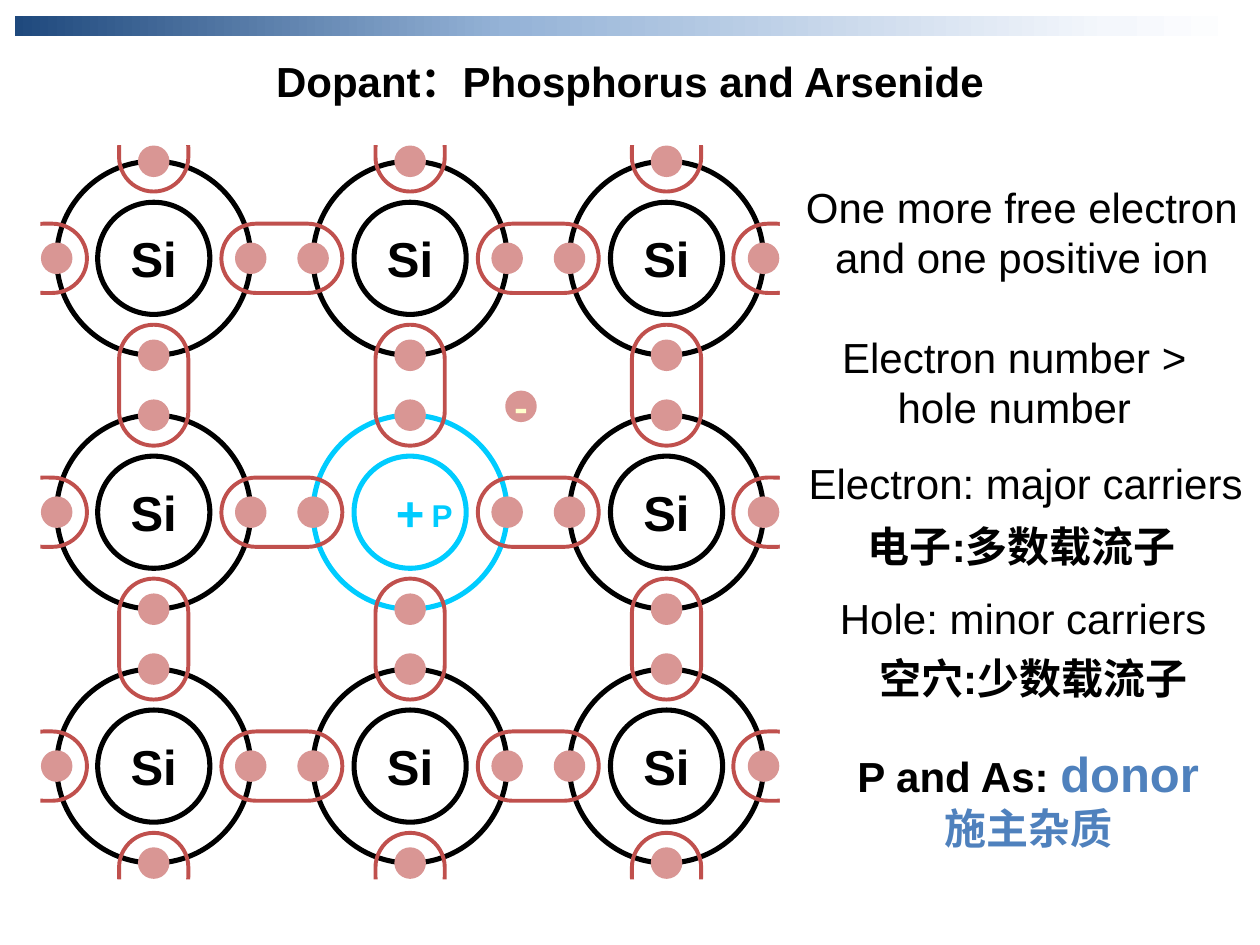
from copy import deepcopy
from itertools import product

from pptx import Presentation
from pptx.dml.color import RGBColor
from pptx.enum.shapes import MSO_SHAPE as SHAPE
from pptx.enum.text import MSO_ANCHOR as ANCHOR, MSO_AUTO_SIZE as AUTO, PP_ALIGN as ALIGN
from pptx.util import Inches, Pt

COLORS = {
    "black": "000000", "white": "FFFFFF", "electron": "D99694", "bond": "C0504D",
    "donor": "00CCFF", "minus": "FFFFCC", "accent": "4F81BD",
}
BAR_STOPS = [(0, "1F497D"), (0.4, "95B3D7"), (0.89, "F4F7FC"), (1, "FFFFFF")]
SIDES = [(0, -1), (-1, 0), (0, 1), (1, 0)]
COLS, ROWS = 100, 75  # the slide as a grid of square cells
CELL = Inches(10) / COLS


def cells(*values):
    return [round(v * CELL) for v in values]


def rgb(name):
    return RGBColor.from_string(COLORS[name])


def add_centered(shapes, kind, cx, cy, w, h, fill=None, line=None, width=2.88):
    s = shapes.add_shape(kind, *cells(cx - w / 2, cy - h / 2, w, h))
    s.shadow.inherit = False
    if fill:
        s.fill.solid()
        s.fill.fore_color.rgb = rgb(fill)
    else:
        s.fill.background()
    if line:
        s.line.color.rgb = rgb(line)
        s.line.width = Pt(width)
    else:
        s.line.fill.background()
    return s


def write(s, runs, wrap=True):
    """Fill a shape with one centred paragraph of (text, format) runs."""
    tf = s.text_frame
    tf.word_wrap = wrap
    p = tf.paragraphs[0]
    p.alignment = ALIGN.CENTER
    for text, fmt in runs:
        r = p.add_run()
        r.text = text
        values = {"name": "Arial", "size": Pt(24), "bold": False, **fmt}
        r.font.color.rgb = rgb(values.pop("color", "black"))
        for key, value in values.items():
            setattr(r.font, key, value)


def add_text(shapes, box, runs, wrap=True):
    s = shapes.add_textbox(*cells(*box))
    write(s, runs, wrap)
    s.text_frame.auto_size = AUTO.SHAPE_TO_FIT_TEXT


def add_electron(shapes, cx, cy):
    return add_centered(shapes, SHAPE.OVAL, cx, cy, 2.1, 2.1, "electron", "electron")


def add_atom(shapes, cx, cy, label, color):
    group = shapes.add_group_shape().shapes
    add_centered(group, SHAPE.OVAL, cx, cy, 15.4, 15.4, line=color)
    core = add_centered(group, SHAPE.OVAL, cx, cy, 8.9, 8.9, line=color)
    core.text_frame.vertical_anchor = ANCHOR.MIDDLE
    write(core, [(label, {"size": Pt(28), "bold": True, "color": color})], wrap=False)
    for dx, dy in SIDES:
        add_electron(group, cx + 7.7 * dx, cy + 7.7 * dy)


def add_bond(shapes, cx, cy, length, horizontal):
    w, h = (length, 5.5) if horizontal else (5.5, length)
    s = add_centered(shapes, SHAPE.ROUNDED_RECTANGLE, cx, cy, w, h, line="bond", width=2.25)
    s.adjustments[0] = 0.5


def add_open_bond(shapes, cx, cy, dx, dy):
    """A bond leaving the lattice, its outer end covered."""
    add_bond(shapes, cx + 8.4 * dx, cy + 8.4 * dy, 6.2, dx != 0)
    w, h = (3.2, 6.4) if dx else (6.4, 3.2)
    add_centered(shapes, SHAPE.RECTANGLE, cx + 10.6 * dx, cy + 10.6 * dy, w, h, "white")


def add_lattice(shapes, box):
    """3 x 3 atoms whose centres span the box."""
    left, top, width, height = box
    dx, dy = width / 2, height / 2
    sites = {(i, j): (left + i * dx, top + j * dy) for j, i in product(range(3), repeat=2)}
    for site, (cx, cy) in sites.items():
        add_atom(shapes, cx, cy, *(("+", "donor") if site == (1, 1) else ("Si", "black")))

    # Bonds: shared with the next atom, or open at the lattice edge
    for (i, j), (cx, cy) in sites.items():
        if i < 2:
            add_bond(shapes, cx + dx / 2, cy, 9.6, True)
        if j < 2:
            add_bond(shapes, cx, cy + dy / 2, 9.6, False)
        for sx, sy in SIDES:
            if (i + sx, j + sy) not in sites:
                add_open_bond(shapes, cx, cy, sx, sy)

    # Free electron and the donor's label
    cx, cy = sites[1, 1]
    free = add_electron(shapes, cx + 8.8, cy - 8.4)
    free.text_frame.vertical_anchor = ANCHOR.MIDDLE
    write(free, [("-", {"name": "Calibri", "bold": True, "color": "minus"})], wrap=False)
    add_text(shapes, (cx + 0.7, cy - 1.8, 3.7, 4),
             [("P", {"size": Pt(18), "bold": True, "color": "donor"})], wrap=False)


def add_header(shapes, box):
    left, top, width, _ = box
    bar = add_centered(shapes, SHAPE.RECTANGLE, left + width / 2, top + 0.8, width, 1.6)
    bar.fill.gradient()
    bar.fill.gradient_angle = 0
    first = bar.fill.gradient_stops[0]._gs
    for _ in BAR_STOPS[2:]:
        first.addnext(deepcopy(first))
    for stop, (position, color) in zip(bar.fill.gradient_stops, BAR_STOPS):
        stop.position = position
        stop.color.rgb = RGBColor.from_string(color)
    add_text(shapes, (left + width * 0.1, top + 2.6, width * 0.8, 5),
             [("Dopant：Phosphorus and Arsenide", {"bold": True})])


def add_notes(shapes, box):
    left, top, _, _ = box
    bold = {"bold": True}
    donor = {"bold": True, "color": "accent"}
    notes = [  # offset from the box, width, height, runs
        (0.2, 0, 37.8, 9.1, [("One more free electron and one positive ion", {})]),
        (2.3, 11.9, 32.4, 9.1, [("Electron number > hole number", {})]),
        (0.9, 21.9, 37, 5, [("Electron: major carriers", {})]),
        (2.9, 26.9, 32.4, 5, [("电子:多数载流子", bold)]),
        (0.7, 32.6, 37, 5, [("Hole: minor carriers", {})]),
        (3.8, 37.4, 32.4, 5, [("空穴:少数载流子", bold)]),
        (3.5, 44.6, 32.2, 9.8, [("P and As: ", bold),
                                ("donor", {**donor, "size": Pt(28)}),
                                ("施主杂质", donor)]),
    ]
    for x, y, w, h, runs in notes:
        add_text(shapes, (left + x, top + y, w, h), runs)


def main():
    prs = Presentation()
    prs.slide_width, prs.slide_height = cells(COLS, ROWS)
    shapes = prs.slides.add_slide(prs.slide_layouts[6]).shapes
    add_lattice(shapes, (12.2, 20.5, 40.7, 40.3))
    add_header(shapes, (1.2, 1.3, 97.6, 7.6))
    add_notes(shapes, (62, 13.9, 38, 54.4))
    prs.save("out.pptx")


if __name__ == "__main__":
    main()
